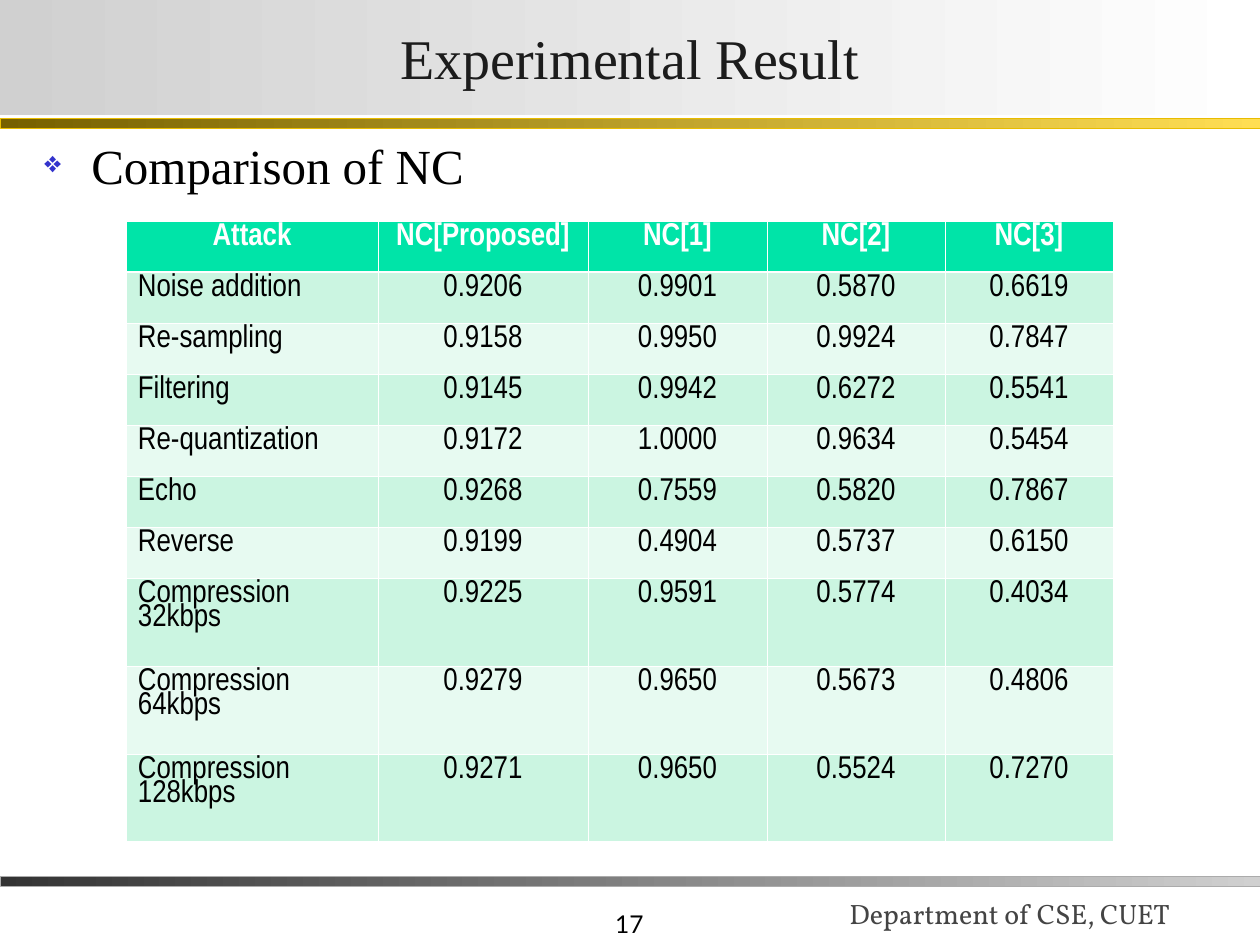
from lxml.etree import SubElement
from pptx import Presentation
from pptx.dml.color import RGBColor
from pptx.enum.shapes import MSO_SHAPE
from pptx.enum.text import MSO_ANCHOR, PP_ALIGN
from pptx.oxml.ns import qn
from pptx.util import Emu, Pt

PX = 914400 / 126
COLORS = {
    "white": "FFFFFF",
    "black": "000000",
    "title": "1C1C1C",
    "footer": "444444",
    "bullet": "3333CC",
    "silver": "D0D0D0",
    "charcoal": "333333",
    "gray_line": "ABABAB",
    "bronze": "766000",
    "gold": "FFDE53",
    "gold_line": "E8BC00",
    "header": "00E4A8",
    "band_dark": "CBF5E1",
    "band_light": "E7FAF1",
}
COLUMN_WIDTHS = [252, 210, 179, 178, 168]
SINGLE_ROW, DOUBLE_ROW = 51, 88
RESULTS = [
    ["Attack", "NC[Proposed]", "NC[1]", "NC[2]", "NC[3]"],
    ["Noise addition", "0.9206", "0.9901", "0.5870", "0.6619"],
    ["Re-sampling", "0.9158", "0.9950", "0.9924", "0.7847"],
    ["Filtering", "0.9145", "0.9942", "0.6272", "0.5541"],
    ["Re-quantization", "0.9172", "1.0000", "0.9634", "0.5454"],
    ["Echo", "0.9268", "0.7559", "0.5820", "0.7867"],
    ["Reverse", "0.9199", "0.4904", "0.5737", "0.6150"],
    ["Compression 32kbps", "0.9225", "0.9591", "0.5774", "0.4034"],
    ["Compression 64kbps", "0.9279", "0.9650", "0.5673", "0.4806"],
    ["Compression 128kbps", "0.9271", "0.9650", "0.5524", "0.7270"],
]


def px(length):
    return Emu(round(length * PX))


def color(name):
    return RGBColor.from_string(COLORS[name])


def apply(target, values):
    for name, value in values.items():
        setattr(target, name, value)


class SlideBuilder:
    def __init__(self, slide):
        self.slide = slide

    def add_words(self, paragraph, text, size, font, ink, bold=False, **layout):
        apply(paragraph, layout)
        run = paragraph.add_run()
        run.text = text
        apply(run.font, {"size": Pt(size), "name": font, "bold": bold})
        run.font.color.rgb = color(ink)

    def text(self, box, text, size, font, ink, anchor=MSO_ANCHOR.BOTTOM, **layout):
        shape = self.slide.shapes.add_textbox(*map(px, box))
        apply(shape.text_frame, {"word_wrap": True, "vertical_anchor": anchor})
        paragraph = shape.text_frame.paragraphs[0]
        self.add_words(paragraph, text, size, font, ink, **layout)
        return paragraph

    def bullet(self, box, text, symbol, percent):
        paragraph = self.text(box, text, 28, "Times New Roman", "black",
                              MSO_ANCHOR.TOP, space_before=Pt(7), line_spacing=0.9)
        properties = paragraph._p.get_or_add_pPr()
        properties.set("marL", str(px(47)))
        properties.set("indent", str(px(-47)))
        bullet_color = SubElement(properties, qn("a:buClr"))
        SubElement(bullet_color, qn("a:srgbClr"), val=COLORS["bullet"])
        SubElement(properties, qn("a:buSzPct"), val=str(percent * 1000))
        SubElement(properties, qn("a:buChar"), char=symbol)

    def gradient_bar(self, box, start, end, line=None):
        shape = self.slide.shapes.add_shape(MSO_SHAPE.RECTANGLE, *map(px, box))
        shape.shadow.inherit = False
        shape.fill.gradient()
        shape.fill.gradient_angle = 0
        for stop, name in zip(shape.fill.gradient_stops, (start, end)):
            stop.color.rgb = color(name)
        if line:
            shape.line.color.rgb = color(line)
            shape.line.width = Pt(0.25)
        else:
            shape.line.fill.background()
        return shape

    def title(self, box, text):
        frame = self.gradient_bar(box, "silver", "white").text_frame
        apply(frame, {"word_wrap": True, "vertical_anchor": MSO_ANCHOR.MIDDLE,
                      "margin_left": px(2), "margin_right": px(2),
                      "margin_top": px(1), "margin_bottom": px(1)})
        self.add_words(frame.paragraphs[0], text, 32, "Times New Roman", "title",
                       alignment=PP_ALIGN.CENTER)

    def borders(self, cell, widths):
        properties = cell._tc.get_or_add_tcPr()
        for side, width in widths.items():
            line = SubElement(properties, qn(f"a:ln{side}"), w=str(Pt(width)))
            fill = SubElement(line, qn("a:solidFill"))
            SubElement(fill, qn("a:srgbClr"), val=COLORS["white"])

    def cell(self, cell, text, row, column):
        header = row == 0
        self.borders(cell, {"L": 0.45, "R": 0.45, "T": 1.47 if row == 1 else 0.45,
                            "B": 1.47 if header else 0.45})
        band = "band_dark" if row % 2 else "band_light"
        cell.fill.solid()
        cell.fill.fore_color.rgb = color("header" if header else band)
        margin = px(12 if header or column == 0 else 10)
        apply(cell, {"margin_left": margin, "margin_right": margin,
                     "margin_top": px(6), "margin_bottom": px(6)})
        centered = header or column > 0
        self.add_words(cell.text_frame.paragraphs[0], text, 18, "Arial Narrow",
                       "white" if header else "black", bold=header, line_spacing=0.8,
                       alignment=PP_ALIGN.CENTER if centered else PP_ALIGN.LEFT)

    def table(self, left, top, widths, rows):
        heights = [DOUBLE_ROW if row[0].startswith("Compression") else SINGLE_ROW
                   for row in rows]
        box = (left, top, sum(widths), sum(heights))
        table = self.slide.shapes.add_table(len(rows), len(widths), *map(px, box)).table
        for column, width in zip(table.columns, widths):
            column.width = px(width)
        for row, height in zip(table.rows, heights):
            row.height = px(height)
        for row_index, values in enumerate(rows):
            for column_index, value in enumerate(values):
                self.cell(table.cell(row_index, column_index), value,
                          row_index, column_index)


def main():
    presentation = Presentation()
    apply(presentation, {"slide_width": px(1260), "slide_height": px(945)})
    builder = SlideBuilder(presentation.slides.add_slide(presentation.slide_layouts[6]))
    builder.text((394, 882, 262, 63), "17", 14, "Lato", "black",
                 alignment=PP_ALIGN.RIGHT)
    builder.text((837, 857, 433, 79), "Department of CSE, CUET", 16, "Vollkorn", "footer")
    builder.gradient_bar((0, 876, 1260, 10), "charcoal", "silver", "gray_line")
    builder.gradient_bar((0, 118, 1260, 10), "bronze", "gold", "gold_line")
    builder.title((0, 0, 1260, 115), "Experimental Result")
    builder.bullet((32, 136, 1191, 753), "Comparison of NC", "❖", 60)
    builder.table(126, 221, COLUMN_WIDTHS, RESULTS)
    presentation.save("out.pptx")


if __name__ == "__main__":
    main()
